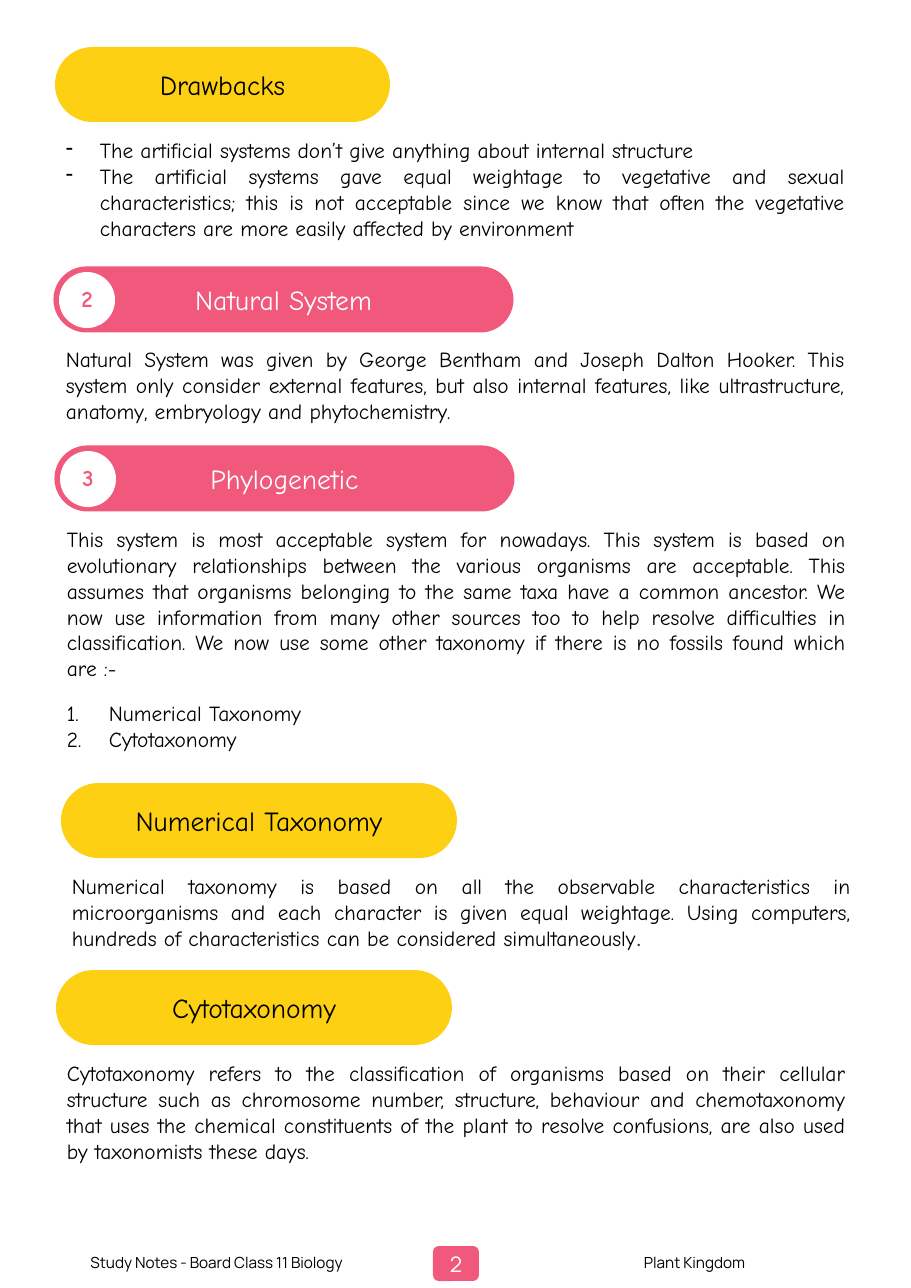
"""Build a biology study page on systems of plant classification."""
from lxml.etree import SubElement
from pptx import Presentation
from pptx.dml.color import RGBColor
from pptx.enum.shapes import MSO_SHAPE
from pptx.enum.text import MSO_ANCHOR, MSO_AUTO_SIZE, PP_ALIGN
from pptx.oxml.ns import qn
from pptx.util import Pt

PIXEL = 8298
YELLOW = RGBColor(0xFE, 0xD0, 0x13)
PINK = RGBColor(0xF0, 0x58, 0x7C)
WHITE = RGBColor(0xFF, 0xFF, 0xFF)
BLACK = RGBColor(0x00, 0x00, 0x00)
GREY = RGBColor(0x33, 0x33, 0x33)
HAND_FONT = "Comic Neue"
FOOTER_FONT = "Manrope"

BODY_WIDTH = 801
DASH = ("buChar", {"char": "-"}, 34)
NUMBER = ("buAutoNum", {"type": "arabicPeriod"}, 42)


def px(*lengths):
    """Turn pixel lengths into EMU."""
    return [length * PIXEL for length in lengths]


def style_font(paragraph, size, color, name=HAND_FONT, bold=False):
    """Set the font shared by all runs of a paragraph."""
    font = paragraph.font
    font.name, font.size, font.bold = name, Pt(size), bold
    font.color.rgb = color


def set_label(shape, text, size, color, name=HAND_FONT, bold=False):
    """Centre one line of text in a shape."""
    frame = shape.text_frame
    frame.auto_size = MSO_AUTO_SIZE.NONE
    frame.word_wrap = True
    frame.vertical_anchor = MSO_ANCHOR.MIDDLE
    frame.margin_left, frame.margin_right, frame.margin_top, frame.margin_bottom = px(4, 4, 0, 0)
    paragraph = frame.paragraphs[0]
    paragraph.text = text
    paragraph.alignment = PP_ALIGN.CENTER
    style_font(paragraph, size, color, name, bold)


def add_block(page, kind, box, fill, outline=None, rounding=None):
    """Add a flat filled shape."""
    block = page.shapes.add_shape(kind, *px(*box))
    block.shadow.inherit = False
    block.fill.solid()
    block.fill.fore_color.rgb = fill
    if outline:
        block.line.color.rgb = outline
        block.line.width = Pt(2)
    else:
        block.line.fill.background()
    if rounding:
        block.adjustments[0] = rounding
    return block


def add_pill(page, box, fill, outline=None):
    """Add a bar with fully rounded ends."""
    return add_block(page, MSO_SHAPE.ROUNDED_RECTANGLE, box, fill, outline, 0.5)


def add_title(page, text, box):
    """Place the page title on a yellow pill."""
    pill = add_pill(page, box, YELLOW)
    title = page.shapes.title
    title.left, title.top, title.width, title.height = px(*box)
    set_label(title, text, 18, BLACK)
    pill.element.addnext(title.element)


def add_topic(page, text, left, top):
    """Add a yellow topic heading."""
    set_label(add_pill(page, (left, top, 396, 75), YELLOW), text, 18, BLACK)


def add_numbered_heading(page, number, text, left, top):
    """Add a pink heading with its number in a white circle."""
    pill = add_pill(page, (left, top, 457, 63), PINK, PINK)
    set_label(pill, text, 18, WHITE)
    circle = add_block(page, MSO_SHAPE.OVAL, (left + 4, top + 4, 56, 56), WHITE)
    set_label(circle, number, 15, PINK, bold=True)
    circle.text_frame.paragraphs[0].line_spacing = 0.9


def add_bullet(paragraph, marker):
    """Give a paragraph a hanging list marker."""
    tag, attributes, indent = marker
    properties = paragraph._p.get_or_add_pPr()
    properties.set("marL", str(indent * PIXEL))
    properties.set("indent", str(-indent * PIXEL))
    SubElement(properties, qn(f"a:{tag}"), attributes)


def add_body(page, left, top, height, texts, items=(), marker=None, gap=0):
    """Add justified paragraphs followed by list items."""
    box = page.shapes.add_textbox(*px(left, top, BODY_WIDTH, height))
    frame = box.text_frame
    frame.word_wrap = True
    frame.auto_size = MSO_AUTO_SIZE.SHAPE_TO_FIT_TEXT
    for index, text in enumerate([*texts, *items]):
        paragraph = frame.add_paragraph() if index else frame.paragraphs[0]
        paragraph.text = text
        paragraph.alignment = PP_ALIGN.JUSTIFY
        if index >= len(texts):
            if gap and index == len(texts):
                paragraph.space_before = Pt(gap)
            add_bullet(paragraph, marker)
        style_font(paragraph, 14, BLACK)
    return frame


def add_footer(page):
    """Add the page number and the two footer labels."""
    badge = add_block(page, MSO_SHAPE.ROUNDED_RECTANGLE, (433, 1246, 46, 35), PINK, rounding=0.17)
    set_label(badge, "2", 14, WHITE, FOOTER_FONT)
    for left, text in ((0, "Study Notes - Board Class 11 Biology"), (478, "Plant Kingdom")):
        label = page.shapes.add_textbox(*px(left, 1236, 433, 53))
        set_label(label, text, 10, BLACK, FOOTER_FONT)


def main():
    """Build and save the page."""
    deck = Presentation()
    deck.slide_width, deck.slide_height = px(911, 1288)
    page = deck.slides.add_slide(deck.slide_layouts.get_by_name("Title Only"))
    add_footer(page)

    add_title(page, "Drawbacks", (55, 47, 335, 75))
    add_body(page, 55, 132, 115, [], [
        "The artificial systems don’t give anything about internal structure",
        "The artificial systems gave equal weightage to vegetative and sexual characteristics; "
        "this is not acceptable since we know that often the vegetative characters are more "
        "easily affected by environment",
    ], DASH)

    add_numbered_heading(page, "2", "Natural System", 55, 268)
    add_body(page, 55, 341, 89, [
        "Natural System was given by George Bentham and Joseph Dalton Hooker. This system only "
        "consider external features, but also internal features, like ultrastructure, anatomy, "
        "embryology and phytochemistry.",
    ])

    add_numbered_heading(page, "3", "Phylogenetic", 56, 447)
    add_body(page, 56, 521, 245, [
        "This system is most acceptable system for nowadays. This system is based on "
        "evolutionary relationships between the various organisms are acceptable. This assumes "
        "that organisms belonging to the same taxa have a common ancestor. We now use "
        "information from many other sources too to help resolve difficulties in "
        "classification. We now use some other taxonomy if there is no fossils found which "
        "are :-",
    ], ["Numerical Taxonomy", "Cytotaxonomy"], NUMBER, gap=12.6)

    add_topic(page, "Numerical Taxonomy", 61, 783)
    numerical = add_body(page, 61, 868, 89, [
        "Numerical taxonomy is based on all the observable characteristics in microorganisms "
        "and each character is given equal weightage. Using computers, hundreds of "
        "characteristics can be considered simultaneously",
    ])
    full_stop = numerical.paragraphs[0].add_run()
    full_stop.text = "."
    full_stop.font.name = "Roboto"
    full_stop.font.color.rgb = GREY

    add_topic(page, "Cytotaxonomy", 56, 970)
    add_body(page, 56, 1055, 115, [
        "Cytotaxonomy refers to the classification of organisms based on their cellular "
        "structure such as chromosome number, structure, behaviour and chemotaxonomy that uses "
        "the chemical constituents of the plant to resolve confusions, are also used by "
        "taxonomists these days.",
    ])
    deck.save("out.pptx")


if __name__ == "__main__":
    main()
